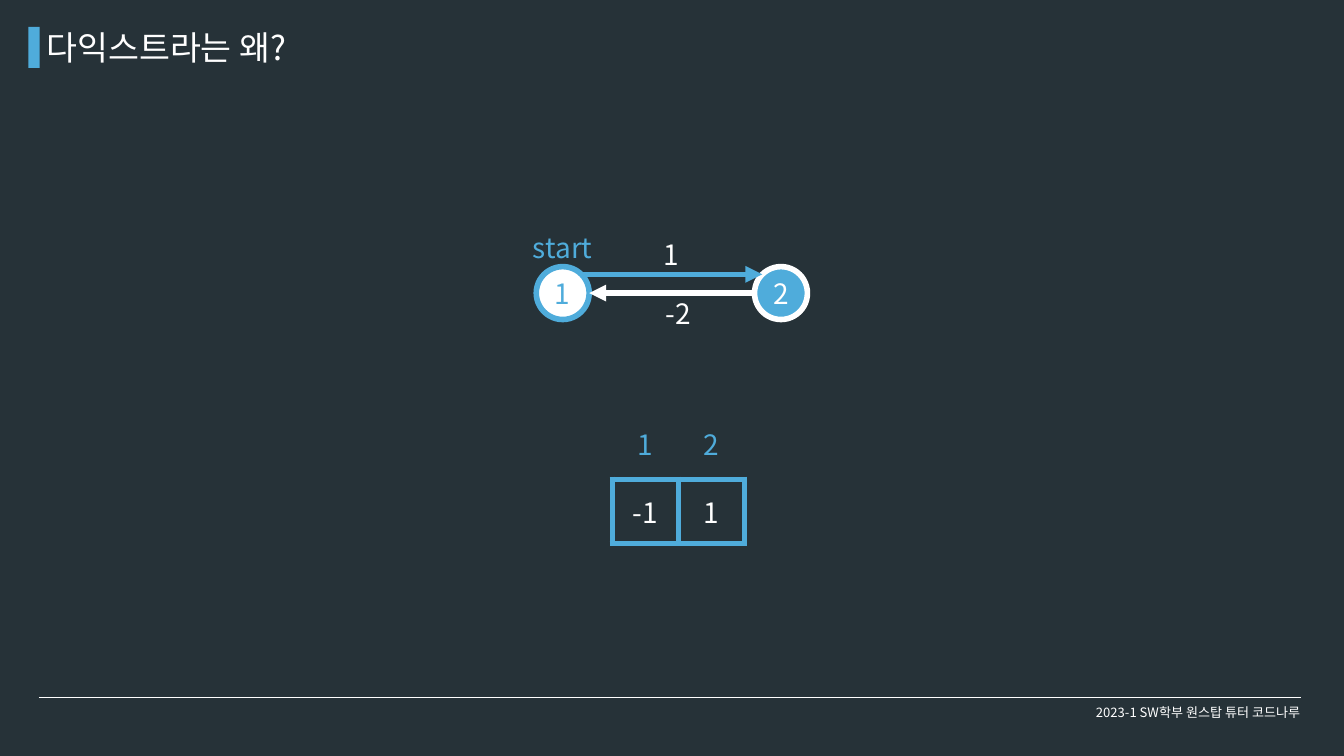
"""Build the slide that asks why Dijkstra fails on a negative edge."""
import pptx
import pptx.dml.color
import pptx.enum.shapes
import pptx.enum.text
import pptx.oxml
import pptx.oxml.ns
import pptx.util

Cm, Pt = pptx.util.Cm, pptx.util.Pt
SHAPES = pptx.enum.shapes.MSO_SHAPE
ALIGN = pptx.enum.text.PP_ALIGN
ANCHOR = pptx.enum.text.MSO_ANCHOR
FIT = pptx.enum.text.MSO_AUTO_SIZE

TITLE = "다익스트라는 왜?"
FOOTER = "2023-1 SW학부 원스탑 튜터 코드나루"
NODES = [
    {"text": "1", "left": 20.27, "fill": "white", "ink": "accent"},
    {"text": "2", "left": 28.52, "fill": "accent", "ink": "white"},
]
LABELS = [
    {"text": "1", "box": (24.82, 8.86, 1.17, 1.55), "ink": "white", "wrap": False, "align": ALIGN.LEFT},
    {"text": "-2", "box": (24.92, 11.07, 1.63, 1.55), "ink": "white", "wrap": False, "align": ALIGN.LEFT},
    {"text": "start", "box": (18.87, 8.59, 4.8, 1.55), "ink": "accent", "wrap": True, "align": ALIGN.CENTER},
]
DISTANCES = [
    {"values": ["-1", "1"], "top": 18.11, "ink": "white", "bordered": True},
    {"values": ["1", "2"], "top": 15.54, "ink": "accent", "bordered": False},
]
THEME = {
    "font": "Noto Sans CJK KR",
    "colors": {"back": "263238", "accent": "4FACDB", "white": "FFFFFF"},
    "sizes": {"title": 36, "body": 30, "footer": 14},
    "stroke": 6,
}
NODE_TOP, NODE_SIZE = 10.08, 2.0
DISTANCE_LEFT, CELL_WIDTH, CELL_HEIGHT = 23.14, 2.5, 2.44


def color(name):
    """Return a theme colour."""
    return pptx.dml.color.RGBColor.from_string(THEME["colors"][name])


def lengths(*values):
    """Turn centimetres into slide lengths."""
    return [Cm(value) for value in values]


def write(frame, text, ink, size="body", align=ALIGN.CENTER, **frame_format):
    """Put one formatted line of text into a frame."""
    for name, value in frame_format.items():
        setattr(frame, name, value)
    paragraph = frame.paragraphs[0]
    paragraph.alignment = align
    run = paragraph.add_run()
    run.text = text
    font_format = {"name": THEME["font"], "size": Pt(THEME["sizes"][size]), "bold": False}
    for name, value in font_format.items():
        setattr(run.font, name, value)
    run.font.color.rgb = color(ink)
    east_asian = pptx.oxml.parse_xml(
        f'<a:ea {pptx.oxml.ns.nsdecls("a")} typeface="{THEME["font"]}"/>')
    run.font._element.find(pptx.oxml.ns.qn("a:latin")).addnext(east_asian)


def add_figure(slide, preset, box, fill, outline=None):
    """Add a filled shape with an optional outline."""
    figure = slide.shapes.add_shape(preset, *lengths(*box))
    figure.shadow.inherit = False
    figure.fill.solid()
    figure.fill.fore_color.rgb = color(fill)
    if outline:
        figure.line.color.rgb = color(outline)
        figure.line.width = Pt(THEME["stroke"])
    else:
        figure.line.fill.background()
    return figure


def add_line(slide, start, end, ink, width, arrow=False):
    """Add a straight line, with an arrowhead at its end if asked."""
    line = slide.shapes.add_connector(
        pptx.enum.shapes.MSO_CONNECTOR.STRAIGHT, *lengths(*start, *end))
    line.line.color.rgb = color(ink)
    line.line.width = Pt(width)
    namespace = pptx.oxml.ns.nsdecls("a")
    if arrow:
        line.line._get_or_add_ln().append(
            pptx.oxml.parse_xml(f'<a:tailEnd {namespace} type="triangle"/>'))
    line._element.spPr.append(pptx.oxml.parse_xml(f"<a:effectLst {namespace}/>"))


def set_borders(cell, bordered):
    """Draw or clear the four borders of a cell."""
    accent = THEME["colors"]["accent"]
    paint = f'<a:solidFill><a:srgbClr val="{accent}"/></a:solidFill>' if bordered else "<a:noFill/>"
    for position, side in enumerate("LRTB"):
        cell._tc.get_or_add_tcPr().insert(position, pptx.oxml.parse_xml(
            f'<a:ln{side} {pptx.oxml.ns.nsdecls("a")} w="{Pt(THEME["stroke"])}">{paint}</a:ln{side}>'))


def add_distances(slide, values, top, ink, bordered):
    """Add a one-row table of distances or vertex numbers."""
    table = slide.shapes.add_table(
        1, len(values), *lengths(DISTANCE_LEFT, top, CELL_WIDTH * len(values), CELL_HEIGHT)).table
    for name, value in {"first_row": False, "horz_banding": False}.items():
        setattr(table, name, value)
    for column, value in enumerate(values):
        cell = table.cell(0, column)
        cell.vertical_anchor = ANCHOR.MIDDLE
        cell.fill.background()
        set_borders(cell, bordered)
        write(cell.text_frame, value, ink)


def add_graph(slide):
    """Add the two vertices, their edges and the labels."""
    for node in NODES:
        circle = add_figure(slide, SHAPES.OVAL, (node["left"], NODE_TOP, NODE_SIZE, NODE_SIZE),
                            node["fill"], node["ink"])
        write(circle.text_frame, node["text"], node["ink"], vertical_anchor=ANCHOR.MIDDLE)
    first, second = (node["left"] for node in NODES)
    radius = NODE_SIZE / 2
    inset = radius * (1 - 0.5 ** 0.5)
    forward, back = NODE_TOP + inset, NODE_TOP + radius
    add_line(slide, (first + NODE_SIZE - inset, forward), (second + inset, forward),
             "accent", THEME["stroke"], arrow=True)
    add_line(slide, (second, back), (first + NODE_SIZE, back), "white", THEME["stroke"], arrow=True)
    for label in LABELS:
        frame = slide.shapes.add_textbox(*lengths(*label["box"])).text_frame
        write(frame, label["text"], label["ink"], align=label["align"],
              word_wrap=label["wrap"], auto_size=FIT.SHAPE_TO_FIT_TEXT)


def main():
    """Build and save the presentation."""
    deck = pptx.Presentation()
    deck.slide_width, deck.slide_height = lengths(50.8, 28.58)
    slide = deck.slides.add_slide(deck.slide_layouts[5])
    slide.background.fill.solid()
    slide.background.fill.fore_color.rgb = color("back")

    add_line(slide, (1.47, 26.37), (49.17, 26.37), "white", 0.75)
    add_figure(slide, SHAPES.RECTANGLE, (1.07, 1.02, 0.43, 1.55), "accent")
    title = slide.shapes.title
    for name, value in zip(("left", "top", "width", "height"), lengths(1.5, 0.89, 24.13, 1.8)):
        setattr(title, name, value)
    write(title.text_frame, TITLE, "white", "title", ALIGN.LEFT, word_wrap=True,
          vertical_anchor=ANCHOR.TOP, auto_size=FIT.SHAPE_TO_FIT_TEXT)

    add_graph(slide)
    for distances in DISTANCES:
        add_distances(slide, **distances)
    footer = slide.shapes.add_textbox(*lengths(40.21, 26.19, 10.16, 1.45))
    write(footer.text_frame, FOOTER, "white", "footer", word_wrap=True, vertical_anchor=ANCHOR.MIDDLE)
    deck.save("out.pptx")


if __name__ == "__main__":
    main()
